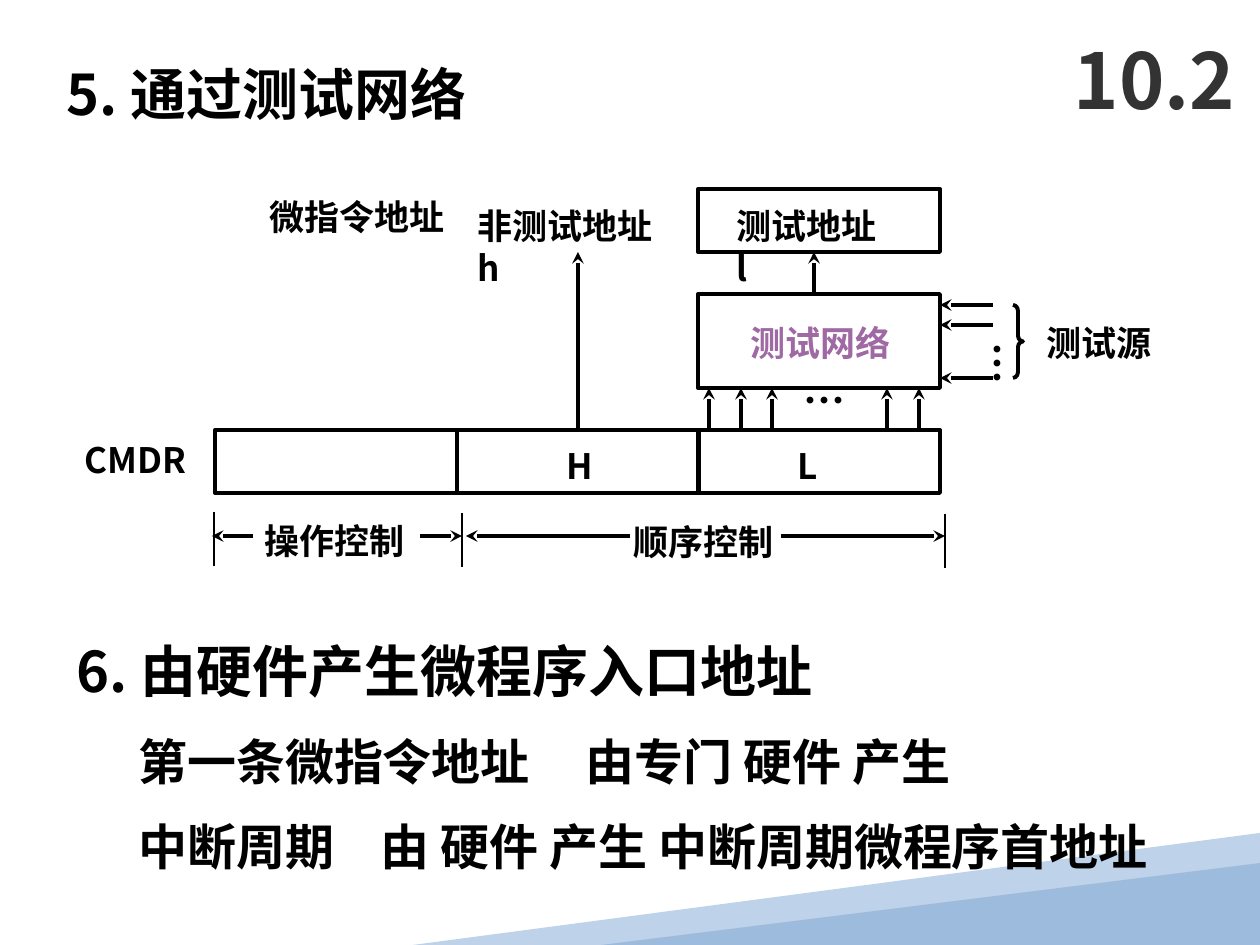
import pptx
import pptx.util
import pptx.dml.color
import pptx.enum.shapes
import pptx.enum.text
import pptx.oxml
import pptx.oxml.ns

SHAPE = pptx.enum.shapes.MSO_SHAPE
ANCHOR = pptx.enum.text.MSO_ANCHOR
BLACK = pptx.dml.color.RGBColor(0x00, 0x00, 0x00)
GREY = pptx.dml.color.RGBColor(0x33, 0x33, 0x33)
PURPLE = pptx.dml.color.RGBColor(0x9F, 0x69, 0xA3)
PALE_BLUE = pptx.dml.color.RGBColor(0xBE, 0xD2, 0xE9)
MID_BLUE = pptx.dml.color.RGBColor(0x9D, 0xBC, 0xDD)
FONT = "Noto Sans CJK SC"
PX = 914400 / 126
W, H = 1260, 945

# Content: text, left, top, width, height, size
TITLE = ("10.2", 1061, 21, 199, 116, 44)
HEADINGS = [
    ("5. 通过测试网络", 54, 53, 1002, 80, 32),
    ("6. 由硬件产生微程序入口地址", 64, 630, 881, 80, 32),
]
# Lines with one tab stop, measured from the start of the text
TABBED = [
    ("第一条微指令地址\t由专门 硬件 产生", 126, 725, 1071, 72, 28, 447),
    ("中断周期\t由 硬件 产生 中断周期微程序首地址", 126, 810, 1067, 72, 28, 242),
]
LABELS = [
    ("微指令地址", 257, 189, 200, 55, 20),
    ("测试源", 1034, 315, 130, 55, 20),
    ("CMDR", 72, 432, 132, 55, 20),
    ("操作控制", 252, 513, 165, 55, 20),
    ("顺序控制", 621, 514, 165, 55, 20),
    ("H", 554, 438, 52, 55, 20),
    ("L", 785, 438, 45, 55, 20),
    ("…", 791, 368, 67, 63, 24),
]
NARROW_LABELS = [
    ("非测试地址 h", 465, 198, 232, 55, 20),
    ("测试地址 l", 724, 198, 184, 55, 20),
]
NETWORK_LABEL = ("测试网络", 738, 315, 165, 55, 20)
SOURCE_DOTS = ("…", 948, 330, 76, 54, 24)

# Diagram geometry
CELL_W, CELL_H = 242, 63
REG_X, REG_Y = 215, 430
LAST_X = REG_X + 2 * CELL_W - 1
NET_Y, NET_H = 294, 94
ADDR_Y = 189
NET_RIGHT = LAST_X + CELL_W
INPUTS_X = [709, 741, 772, 887, 919]
SOURCES_Y = [305, 325, 378]
SPAN_Y = 536
SPANS = [(420, 462), (253, 212), (781, 945), (630, 466)]
TICKS = [(214, 512), (462, 513), (945, 514)]
TICK_H = 54


def px(*values):
    return [pptx.util.Emu(round(v * PX)) for v in values]


def write(shape, text, size, color=BLACK, tab=None, right=0):
    tf = shape.text_frame
    frame = dict(word_wrap=True, auto_size=pptx.enum.text.MSO_AUTO_SIZE.NONE,
                 margin_right=px(right)[0])
    for name, value in frame.items():
        setattr(tf, name, value)
    p = tf.paragraphs[0]
    p.text = text
    p.alignment = pptx.enum.text.PP_ALIGN.LEFT
    if tab:
        p._p.get_or_add_pPr().append(pptx.oxml.parse_xml(
            f'<a:tabLst {pptx.oxml.ns.nsdecls("a")}>'
            f'<a:tab pos="{px(tab)[0]}" algn="l"/></a:tabLst>'))
    font = p.runs[0].font
    for name, value in dict(name=FONT, size=pptx.util.Pt(size), bold=True).items():
        setattr(font, name, value)
    font.color.rgb = color
    fonts = font._element
    fonts.append(pptx.oxml.parse_xml(
        f'<a:ea {pptx.oxml.ns.nsdecls("a")} typeface="{FONT}"/>'))


def label(s, text, x, y, w, h, size, **options):
    box = s.shapes.add_textbox(*px(x, y, w, h))
    write(box, text, size, **options)
    return box


def fill(shape, color):
    shape.shadow.inherit = False
    shape.fill.solid()
    shape.fill.fore_color.rgb = color
    shape.line.fill.background()


def outline(s, kind, x, y, w, h):
    shape = s.shapes.add_shape(kind, *px(x, y, w, h))
    shape.shadow.inherit = False
    shape.fill.background()
    shape.line.color.rgb = BLACK
    shape.line.width = pptx.util.Pt(2.25)
    return shape


def line(s, x1, y1, x2, y2, width=2.25, arrow=True):
    c = s.shapes.add_connector(pptx.enum.shapes.MSO_CONNECTOR.STRAIGHT,
                               *px(x1, y1, x2, y2))
    c.line.color.rgb = BLACK
    c.line.width = pptx.util.Pt(width)
    ns = pptx.oxml.ns.nsdecls("a")
    if arrow:
        c.line._get_or_add_ln().append(
            pptx.oxml.parse_xml(f'<a:tailEnd {ns} type="stealth"/>'))
    c._element.spPr.append(pptx.oxml.parse_xml(f"<a:effectLst {ns}/>"))
    return c


def main():
    prs = pptx.Presentation()
    prs.slide_width, prs.slide_height = px(W, H)
    s = prs.slides.add_slide(prs.slide_layouts[5])

    # Title
    text, x, y, w, h, size = TITLE
    title = s.shapes.title
    title.left, title.top, title.width, title.height = px(x, y, w, h)
    write(title, text, size, color=GREY)
    title.text_frame.vertical_anchor = ANCHOR.MIDDLE

    # Corner decoration
    b = s.shapes.build_freeform(W, 833, scale=PX)
    b.add_line_segments([(W, 937), (848, H), (413, H)], close=True)
    fill(b.convert_to_shape(), PALE_BLUE)
    wedge = s.shapes.add_shape(SHAPE.ISOSCELES_TRIANGLE, *px(601, 863, W - 601, H - 863))
    wedge.adjustments[0] = 1
    fill(wedge, MID_BLUE)

    # Headings and sentences
    for item in HEADINGS:
        label(s, *item)
    for *item, tab in TABBED:
        label(s, *item, tab=tab)

    # Register cells, test network and test address
    cells = [outline(s, SHAPE.RECTANGLE, x, REG_Y, CELL_W, CELL_H)
             for x in (REG_X, REG_X + CELL_W, LAST_X)]
    outline(s, SHAPE.RECTANGLE, LAST_X, NET_Y, CELL_W, NET_H)
    outline(s, SHAPE.RECTANGLE, LAST_X, ADDR_Y, CELL_W, CELL_H)

    # Arrows between the boxes
    for x in INPUTS_X:
        line(s, x, REG_Y, x, NET_Y + NET_H)
    line(s, 814, NET_Y, 814, ADDR_Y + CELL_H)
    middle = REG_X + CELL_W * 3 / 2
    line(s, middle, REG_Y, middle, ADDR_Y + CELL_H).begin_connect(cells[1], 0)

    # Test sources
    for y in SOURCES_Y:
        line(s, 993, y, NET_RIGHT, y)
    brace = outline(s, SHAPE.RIGHT_BRACE, 1013, 305, 10, 73)
    brace.adjustments[0] = 0.58
    dots = label(s, *SOURCE_DOTS)
    dots.text_frame._txBody.bodyPr.set("vert", "eaVert")

    # Field spans below the register
    for x, y in TICKS:
        line(s, x, y, x, y + TICK_H, width=1.5, arrow=False)
    for start, end in SPANS:
        line(s, start, SPAN_Y, end, SPAN_Y)

    # Diagram labels
    for item in LABELS:
        label(s, *item)
    for item in NARROW_LABELS:
        label(s, *item, right=25)
    label(s, *NETWORK_LABEL, color=PURPLE)

    prs.save("out.pptx")


if __name__ == "__main__":
    main()
